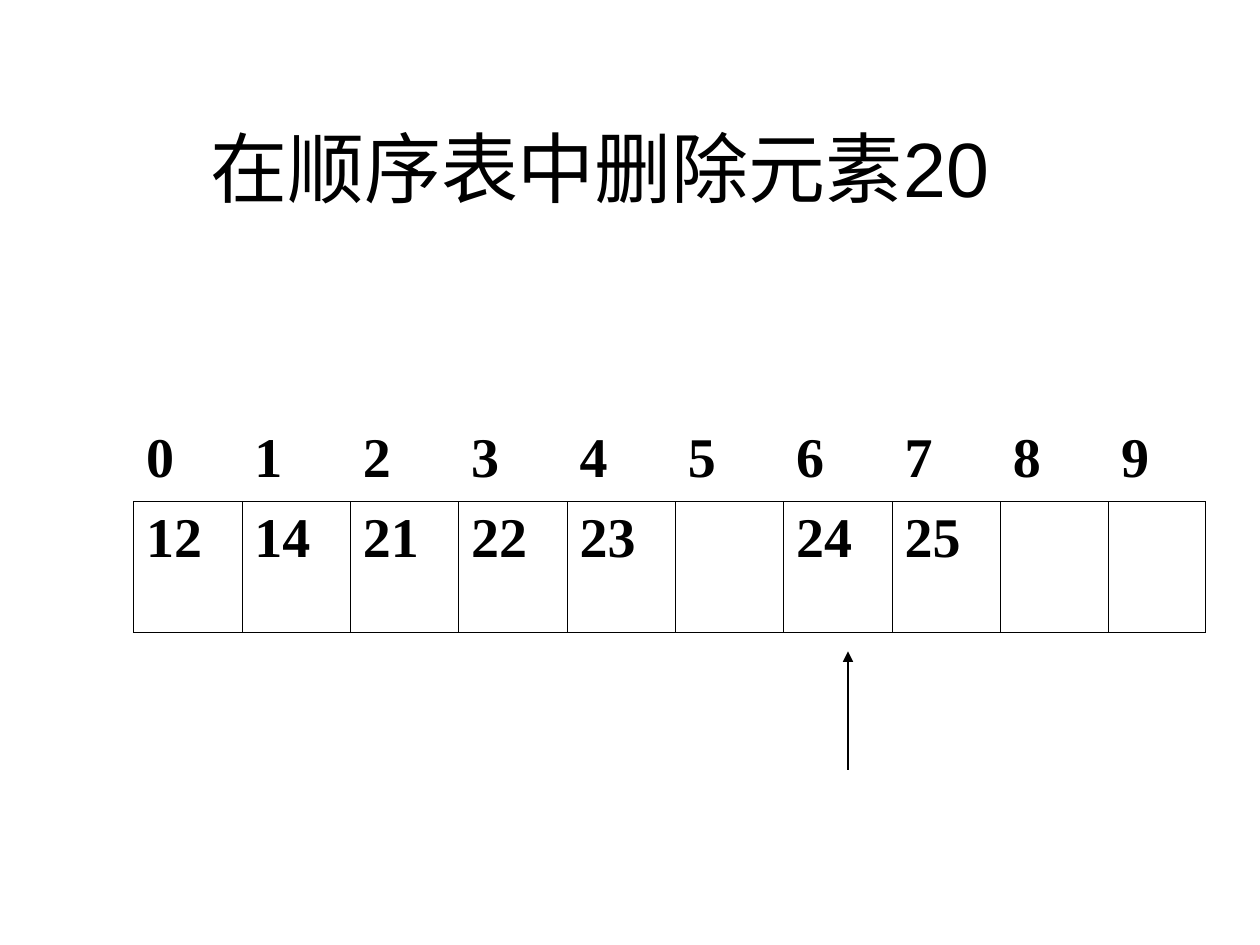
import pptx
import pptx.util
import pptx.dml.color
import pptx.enum.shapes
import pptx.enum.text
import pptx.oxml
import pptx.oxml.ns
from pptx.util import Inches

TITLE = "在顺序表中删除元素20"
ELEMENTS = ["12", "14", "21", "22", "23", "", "24", "25", "", ""]
INDEXES = [str(index) for index in range(len(ELEMENTS))]
COLUMN_WIDTHS = [0.86] * 9 + [0.77]
ROW_HEIGHTS = [0.64, 1.04]
LIST_LEFT, LIST_TOP = 1.06, 3.34
POINTER_X, POINTER_TAIL, POINTER_TIP = 6.73, 6.11, 5.17

THEME = {
    "ink": "000000",
    "title_font": "Arial",
    "title_size": 44,
    "list_font": "Times New Roman",
    "list_size": 32,
    "border": 0.45,
    "pointer": 0.75,
}


def write(frame, text, *, font, size, bold=False, align=pptx.enum.text.PP_ALIGN.LEFT,
          anchor=pptx.enum.text.MSO_ANCHOR.TOP):
    frame.word_wrap = True
    frame.vertical_anchor = anchor
    paragraph = frame.paragraphs[0]
    paragraph.alignment = align
    paragraph.font.size = pptx.util.Pt(size)
    if text:
        run = paragraph.add_run()
        run.text = text
        run.font.name = font
        run.font.size = pptx.util.Pt(size)
        run.font.bold = bold
        run.font.color.rgb = pptx.dml.color.RGBColor.from_string(THEME["ink"])


def draw_borders(cell, visible):
    properties = cell._tc.get_or_add_tcPr()
    width = pptx.util.Pt(THEME["border"])
    for side in "LRTB":
        if side in visible:
            paint = f'<a:solidFill><a:srgbClr val="{THEME["ink"]}"/></a:solidFill>'
        else:
            paint = "<a:noFill/>"
        properties.append(pptx.oxml.parse_xml(
            f'<a:ln{side} {pptx.oxml.ns.nsdecls("a")} w="{width}">{paint}</a:ln{side}>'))


def add_title(slide):
    title = slide.shapes.add_textbox(Inches(0.51), Inches(0.52), Inches(8.5), Inches(1.61))
    write(title.text_frame, TITLE, font=THEME["title_font"], size=THEME["title_size"],
          align=pptx.enum.text.PP_ALIGN.CENTER, anchor=pptx.enum.text.MSO_ANCHOR.MIDDLE)


def add_list(slide):
    rows = [(INDEXES, "B"), (ELEMENTS, "LRTB")]
    sequence = slide.shapes.add_table(
        len(rows), len(ELEMENTS), Inches(LIST_LEFT), Inches(LIST_TOP),
        Inches(sum(COLUMN_WIDTHS)), Inches(sum(ROW_HEIGHTS))).table
    sequence.first_row = False
    sequence.horz_banding = False
    for column, width in zip(sequence.columns, COLUMN_WIDTHS):
        column.width = Inches(width)
    for row, height, (values, visible) in zip(sequence.rows, ROW_HEIGHTS, rows):
        row.height = Inches(height)
        for cell, value in zip(row.cells, values):
            write(cell.text_frame, value, font=THEME["list_font"],
                  size=THEME["list_size"], bold=True)
            draw_borders(cell, visible)
            cell.fill.background()


def add_pointer(slide):
    pointer = slide.shapes.add_connector(
        pptx.enum.shapes.MSO_CONNECTOR.STRAIGHT, Inches(POINTER_X), Inches(POINTER_TAIL),
        Inches(POINTER_X), Inches(POINTER_TIP))
    pointer.line.width = pptx.util.Pt(THEME["pointer"])
    pointer.line.color.rgb = pptx.dml.color.RGBColor.from_string(THEME["ink"])
    namespace = pptx.oxml.ns.nsdecls("a")
    pointer.line._get_or_add_ln().append(
        pptx.oxml.parse_xml(f'<a:tailEnd {namespace} type="triangle"/>'))
    pointer._element.spPr.append(pptx.oxml.parse_xml(f"<a:effectLst {namespace}/>"))


def main():
    deck = pptx.Presentation()
    deck.slide_width, deck.slide_height = Inches(10), Inches(7.5)
    slide = deck.slides.add_slide(deck.slide_layouts[6])
    add_title(slide)
    add_list(slide)
    add_pointer(slide)
    deck.save("out.pptx")


if __name__ == "__main__":
    main()
